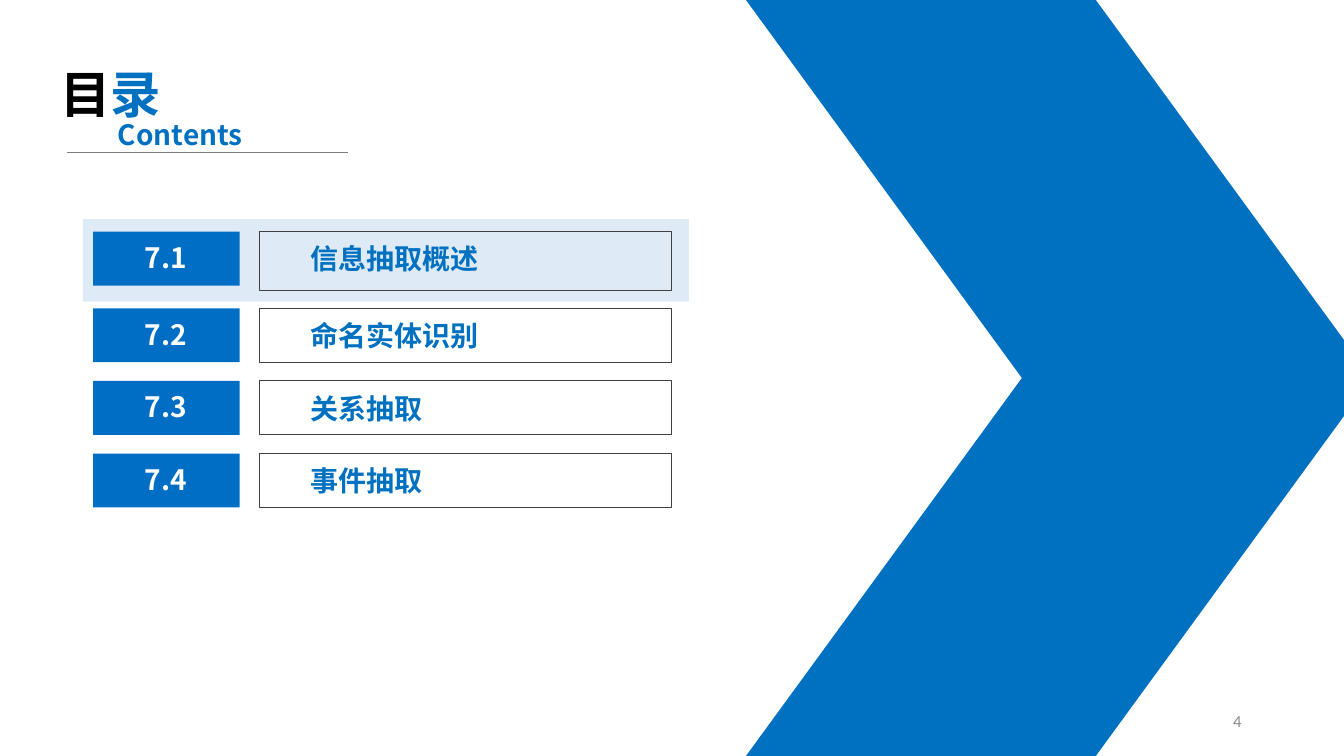
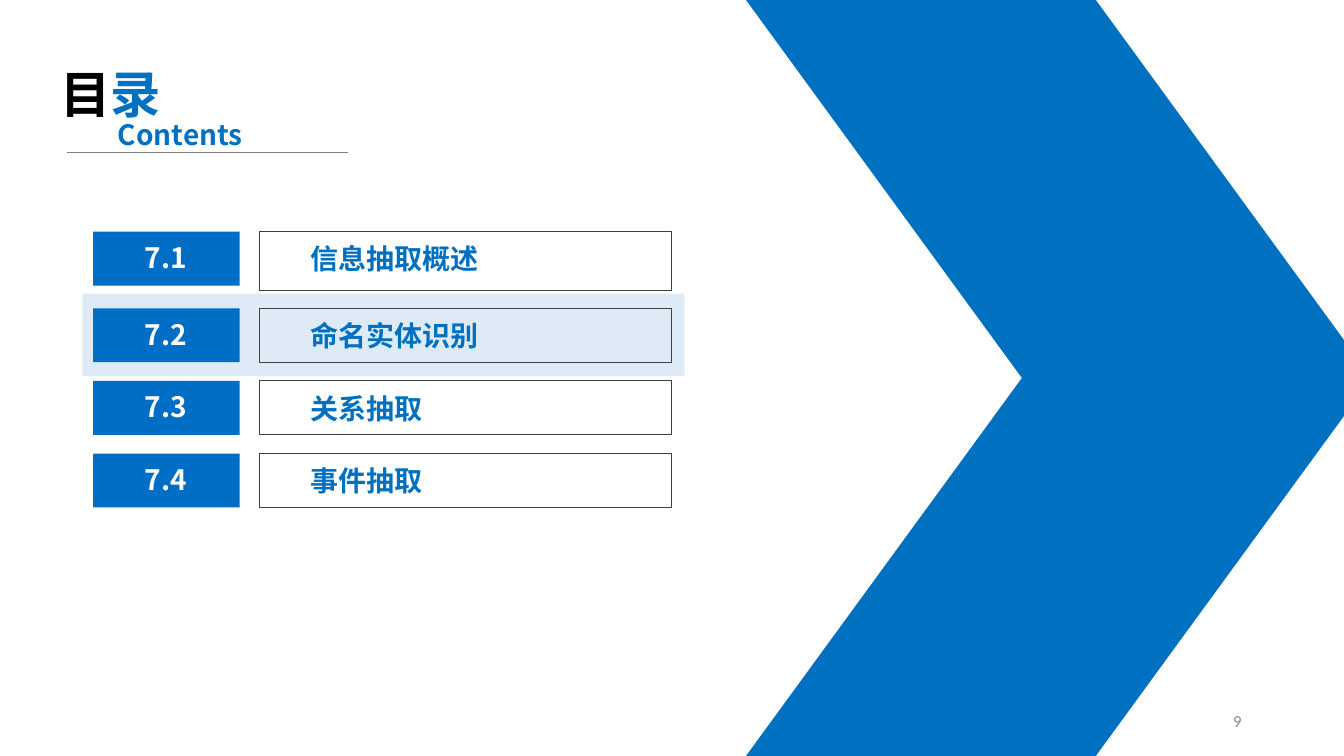
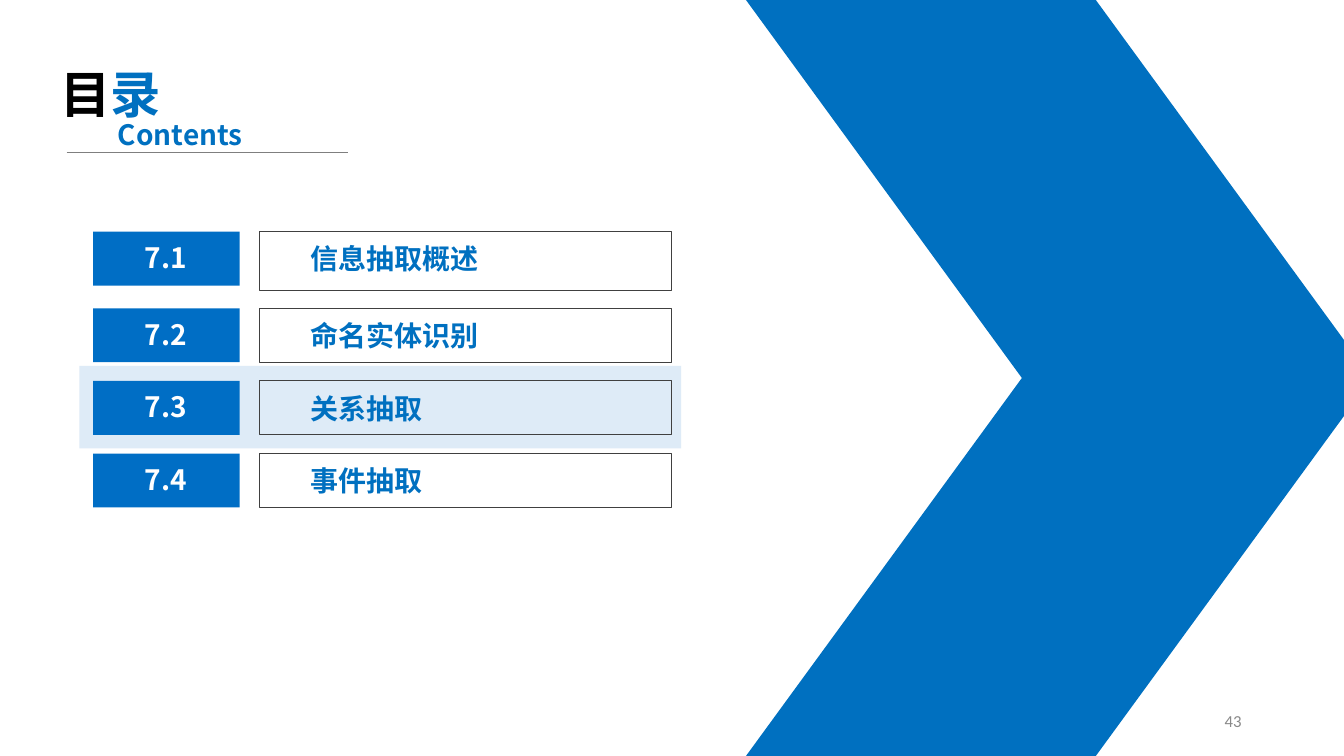
from dataclasses import dataclass

from lxml.etree import SubElement
from pptx import Presentation
from pptx.dml.color import RGBColor
from pptx.enum.shapes import MSO_CONNECTOR, MSO_SHAPE
from pptx.enum.text import MSO_ANCHOR, MSO_AUTO_SIZE, PP_ALIGN
from pptx.oxml.ns import qn
from pptx.util import Cm, Pt


@dataclass(frozen=True)
class Theme:
    """Colours, fonts and type sizes shared by all slides."""
    blue: str = "0070C0"
    badge: str = "006EC5"
    band: str = "DEEBF7"
    frame: str = "404040"
    rule: str = "7F7F7F"
    black: str = "000000"
    white: str = "FFFFFF"
    grey: str = "898989"
    font: str = "Noto Sans CJK SC"
    number_font: str = "Calibri"
    title_size: int = 36
    body_size: int = 20
    number_size: int = 12


T = Theme()
WIDTH, HEIGHT = 33.87, 19.05
ROW_H, BAND_H = 1.36, 2.08
SECTIONS = [
    ("7.1", "信息抽取概述", 5.84, 1.48),
    ("7.2", "命名实体识别", 7.77, ROW_H),
    ("7.3", "关系抽取", 9.6, ROW_H),
    ("7.4", "事件抽取", 11.43, ROW_H),
]
PAGES = [
    ("4", (2.09, 5.52, 15.27)),
    ("9", (2.08, 7.4, 15.17)),
    ("43", (2, 9.22, 15.17)),
]


def add_text(s, box, runs, size=T.body_size, font=T.font, bold=True,
             align=PP_ALIGN.LEFT, anchor=MSO_ANCHOR.TOP, grow=True):
    """Add a text box holding one paragraph of (text, colour) runs."""
    tf = s.shapes.add_textbox(*map(Cm, box)).text_frame
    tf.word_wrap = True
    tf.vertical_anchor = anchor
    tf.auto_size = MSO_AUTO_SIZE.SHAPE_TO_FIT_TEXT if grow else MSO_AUTO_SIZE.NONE
    p = tf.paragraphs[0]
    p.alignment = align
    for text, color in runs:
        r = p.add_run()
        r.text = text
        r.font.size = Pt(size)
        r.font.bold = bold
        r.font.color.rgb = RGBColor.from_string(color)
        r.font.name = font
        SubElement(r.font._element, qn("a:ea"), typeface=font)


def add_block(s, box, fill=None, line=None, kind=MSO_SHAPE.RECTANGLE):
    """Add a preset shape with an optional fill and outline."""
    sp = s.shapes.add_shape(kind, *map(Cm, box))
    sp.shadow.inherit = False
    if fill:
        sp.fill.solid()
        sp.fill.fore_color.rgb = RGBColor.from_string(fill)
    else:
        sp.fill.background()
    if line:
        sp.line.color.rgb = RGBColor.from_string(line)
        sp.line.width = Pt(0.75)
    else:
        sp.line.fill.background()
    return sp


def add_rule(s, left, right, y):
    """Add a thin horizontal line."""
    ln = s.shapes.add_connector(MSO_CONNECTOR.STRAIGHT, *map(Cm, (left, y, right, y)))
    ln.line.color.rgb = RGBColor.from_string(T.rule)
    ln.line.width = Pt(0.5)
    SubElement(ln._element.spPr, qn("a:effectLst"))


def add_arrow(s):
    """Add the large arrow made of two mirrored parallelograms."""
    half = HEIGHT / 2
    for top, flip in ((half, "0"), (0, "1")):
        sp = add_block(s, (18.8, top, 15.77, half), fill=T.blue,
                       kind=MSO_SHAPE.PARALLELOGRAM)
        sp.adjustments[0] = 0.73
        sp._element.spPr.find(qn("a:xfrm")).set("flipV", flip)


def add_heading(s):
    """Add the two-language heading and its rule."""
    add_text(s, (1.27, 1.47, 3.99, 1.8), [("目", T.black), ("录", T.blue)],
             size=T.title_size)
    add_rule(s, 1.68, 8.76, 3.84)
    add_text(s, (2.72, 2.84, 3.99, 1.12), [("Contents", T.blue)])


def add_section(s, number, name, top, frame_h):
    """Add one contents row: framed name and number badge."""
    add_block(s, (6.55, top, 10.37, frame_h), line=T.frame)
    add_text(s, (7.57, top + 0.13, 9.37, 1.12), [(name, T.blue)])
    add_block(s, (2.35, top, 3.69, ROW_H), fill=T.badge)
    add_text(s, (2.85, top + 0.1, 2.67, 1.12), [(number, T.white)],
             align=PP_ALIGN.CENTER)


def add_contents_slide(prs, page, band):
    """Add a contents slide with one row highlighted."""
    s = prs.slides.add_slide(prs.slide_layouts[6])
    add_block(s, (*band, BAND_H), fill=T.band)
    add_arrow(s)
    add_heading(s)
    add_text(s, (23.92, 17.66, 7.62, 1.01), [(page, T.grey)], size=T.number_size,
             font=T.number_font, bold=False, align=PP_ALIGN.RIGHT,
             anchor=MSO_ANCHOR.MIDDLE, grow=False)
    for section in SECTIONS:
        add_section(s, *section)


def main():
    """Build and save the presentation."""
    prs = Presentation()
    prs.slide_width, prs.slide_height = Cm(WIDTH), Cm(HEIGHT)
    for page, band in PAGES:
        add_contents_slide(prs, page, band)
    prs.save("out.pptx")


if __name__ == "__main__":
    main()
